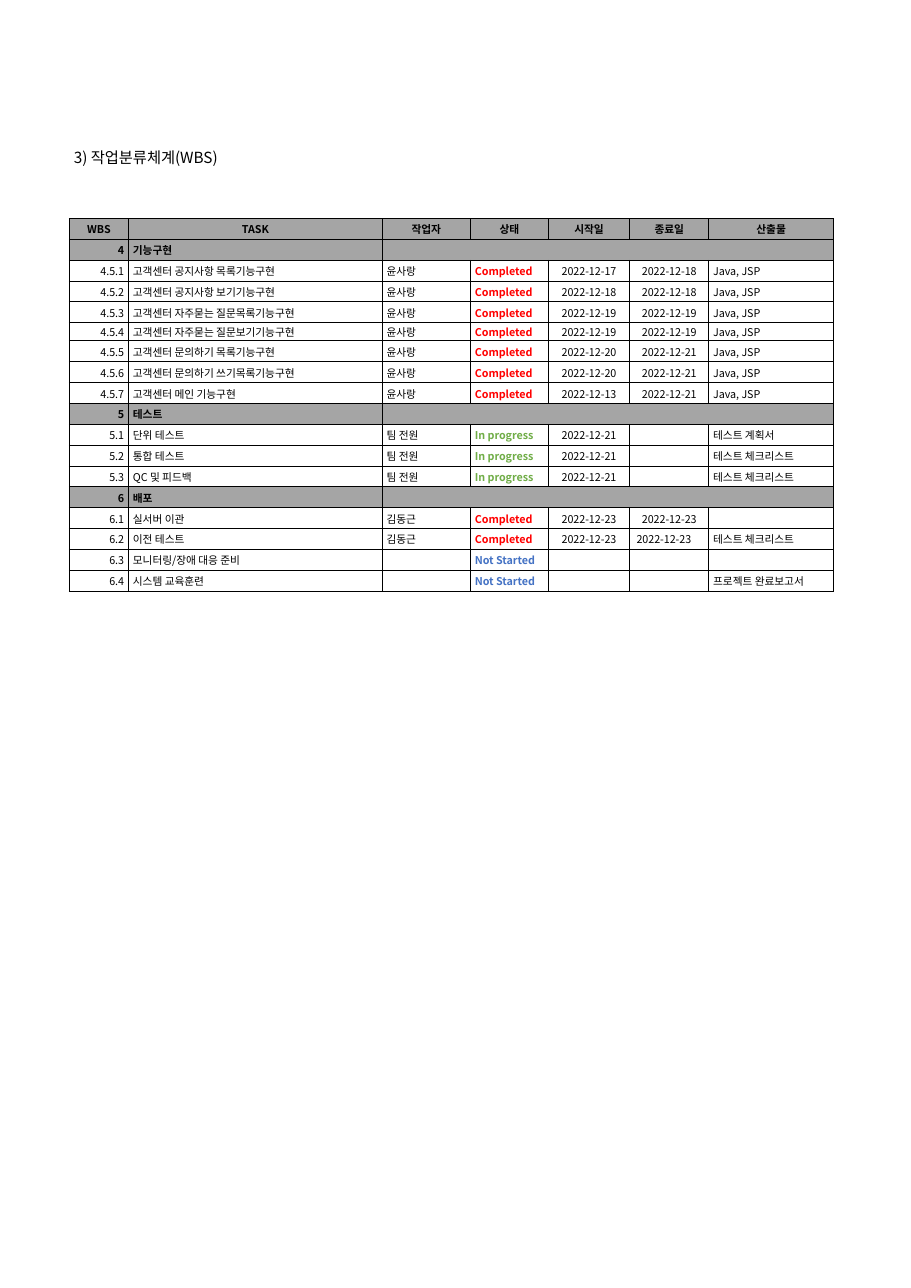
"""Build the work breakdown structure page with its task table."""
from lxml.etree import SubElement
from pptx import Presentation
from pptx.dml.color import RGBColor
from pptx.enum.text import MSO_ANCHOR, PP_ALIGN
from pptx.oxml.ns import qn
from pptx.util import Pt

FONT = "Noto Sans CJK KR"
COLORS = {
    "text": "000000",
    "band": "A5A5A5",
    "Completed": "FF0000",
    "In progress": "70AD47",
    "Not Started": "4472C4",
}
HEADER = ["WBS", "TASK", "작업자", "상태", "시작일", "종료일", "산출물"]
ROWS = [
    HEADER,
    ["4", "기능구현"],
    ["4.5.1", "고객센터 공지사항 목록기능구현", "윤사랑", "Completed", "2022-12-17", "2022-12-18", "Java, JSP"],
    ["4.5.2", "고객센터 공지사항 보기기능구현", "윤사랑", "Completed", "2022-12-18", "2022-12-18", "Java, JSP"],
    ["4.5.3", "고객센터 자주묻는 질문목록기능구현", "윤사랑", "Completed", "2022-12-19", "2022-12-19", "Java, JSP"],
    ["4.5.4", "고객센터 자주묻는 질문보기기능구현", "윤사랑", "Completed", "2022-12-19", "2022-12-19", "Java, JSP"],
    ["4.5.5", "고객센터 문의하기 목록기능구현", "윤사랑", "Completed", "2022-12-20", "2022-12-21", "Java, JSP"],
    ["4.5.6", "고객센터 문의하기 쓰기목록기능구현", "윤사랑", "Completed", "2022-12-20", "2022-12-21", "Java, JSP"],
    ["4.5.7", "고객센터 메인 기능구현", "윤사랑", "Completed", "2022-12-13", "2022-12-21", "Java, JSP"],
    ["5", "테스트"],
    ["5.1", "단위 테스트", "팀 전원", "In progress", "2022-12-21", "", "테스트 계획서"],
    ["5.2", "통합 테스트", "팀 전원", "In progress", "2022-12-21", "", "테스트 체크리스트"],
    ["5.3", "QC 및 피드백", "팀 전원", "In progress", "2022-12-21", "", "테스트 체크리스트"],
    ["6", "배포"],
    ["6.1", "실서버 이관", "김동근", "Completed", "2022-12-23", "2022-12-23", ""],
    ["6.2", "이전 테스트", "김동근", "Completed", "2022-12-23", "2022-12-23　", "테스트 체크리스트"],
    ["6.3", "모니터링/장애 대응 준비", "", "Not Started", "", "", ""],
    ["6.4", "시스템 교육훈련", "", "Not Started", "", "", "프로젝트 완료보고서"],
]
COLUMN_WIDTHS = [38.7, 165.6, 57.6, 50.8, 53.2, 51.6, 81.5]
COLUMN_ALIGNS = [PP_ALIGN.RIGHT, PP_ALIGN.LEFT, PP_ALIGN.LEFT, PP_ALIGN.LEFT,
                 PP_ALIGN.CENTER, PP_ALIGN.CENTER, PP_ALIGN.LEFT]
ROW_HEIGHT = 13.62
SHORT_ROW, SHORT_HEIGHT = 5, 11.9


def add_span(para, text, size, color, bold=False):
    span = para.add_run()
    span.text = text
    span.font.size = Pt(size)
    span.font.bold = bold
    span.font.color.rgb = RGBColor.from_string(COLORS[color])
    span.font.name = FONT
    SubElement(span.font._element, qn("a:ea"), typeface=FONT)


def add_borders(cell):
    properties = cell._tc.get_or_add_tcPr()
    for side in ("a:lnL", "a:lnR", "a:lnT", "a:lnB"):
        line = SubElement(properties, qn(side), w=str(Pt(0.5)))
        fill = SubElement(line, qn("a:solidFill"))
        SubElement(fill, qn("a:srgbClr"), val=COLORS["text"])


deck = Presentation()
deck.slide_width, deck.slide_height = Pt(594.72), Pt(840.96)
page = deck.slides.add_slide(deck.slide_layouts[6])

table_frame = page.shapes.add_table(len(ROWS), len(HEADER), Pt(45.2), Pt(142.6),
                                    Pt(sum(COLUMN_WIDTHS)), Pt(243.44))
table = table_frame.table
for column, width in zip(table.columns, COLUMN_WIDTHS):
    column.width = Pt(width)

for row_index, values in enumerate(ROWS):
    is_header = row_index == 0
    is_section = len(values) == 2
    table.rows[row_index].height = Pt(SHORT_HEIGHT if row_index == SHORT_ROW else ROW_HEIGHT)
    for column_index, align in enumerate(COLUMN_ALIGNS):
        cell = table.cell(row_index, column_index)
        cell.margin_left = cell.margin_right = Pt(2.9)
        cell.margin_top, cell.margin_bottom = Pt(0.7), Pt(0)
        cell.vertical_anchor = MSO_ANCHOR.MIDDLE
        add_borders(cell)
        if is_header or is_section:
            cell.fill.solid()
            cell.fill.fore_color.rgb = RGBColor.from_string(COLORS["band"])
        else:
            cell.fill.background()
        para = cell.text_frame.paragraphs[0]
        para.alignment = PP_ALIGN.CENTER if is_header else align
        text = values[column_index] if column_index < len(values) else ""
        if text:
            color = text if text in COLORS else "text"
            add_span(para, text, 7, color, is_header or is_section or color != "text")
        else:
            SubElement(para._p, qn("a:endParaRPr"), sz="700")
    if is_section:
        table.cell(row_index, 2).merge(table.cell(row_index, len(HEADER) - 1))

title_box = page.shapes.add_textbox(Pt(48.2), Pt(97.2), Pt(111.6), Pt(14.4))
title_frame = title_box.text_frame
title_frame.word_wrap = True
title_frame.margin_left = title_frame.margin_right = Pt(0)
title_frame.margin_top = title_frame.margin_bottom = Pt(0)
title_para = title_frame.paragraphs[0]
title_para.line_spacing = Pt(11.4)
add_span(title_para, "3) 작업분류체계(WBS)", 10, "text")

deck.save("out.pptx")
